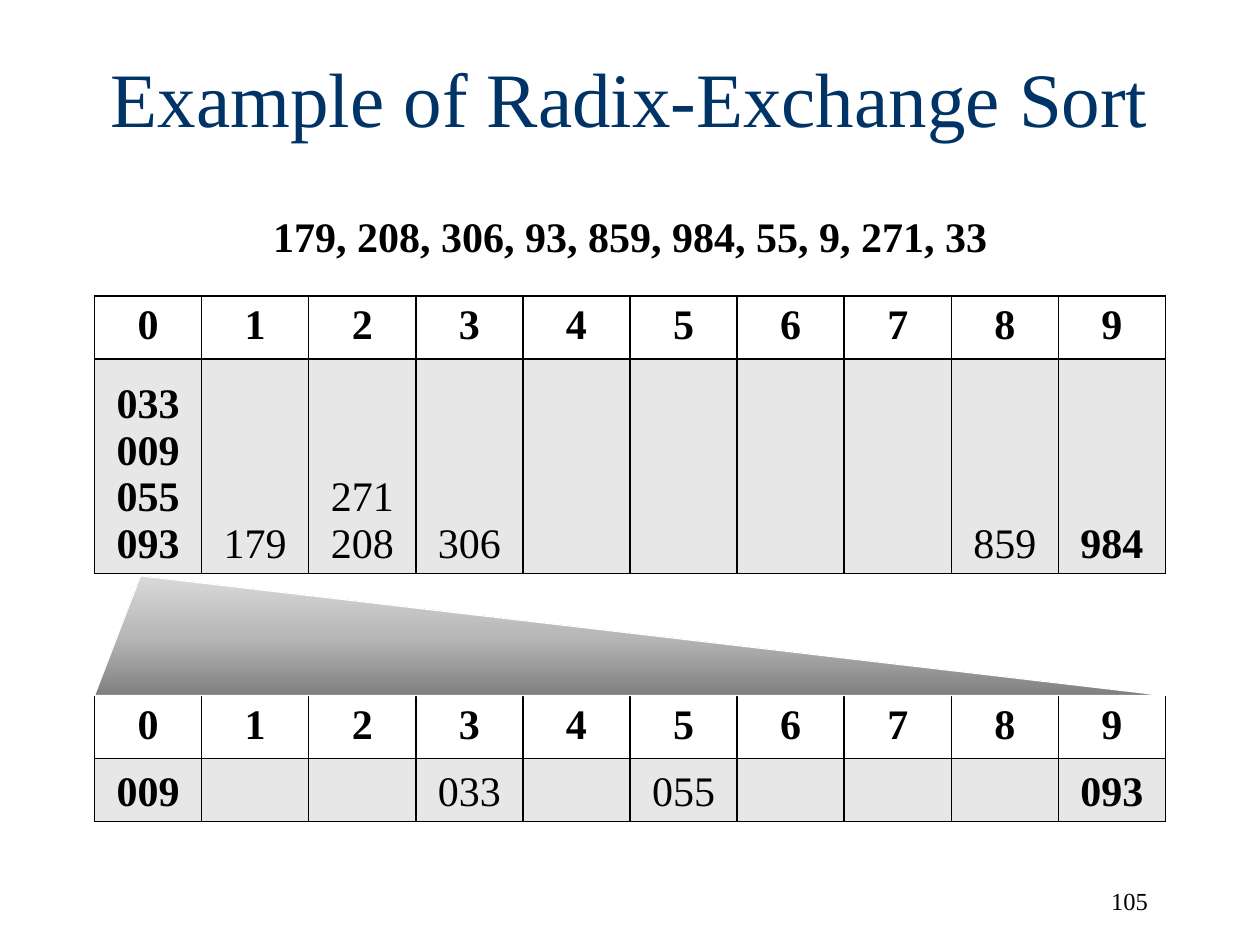
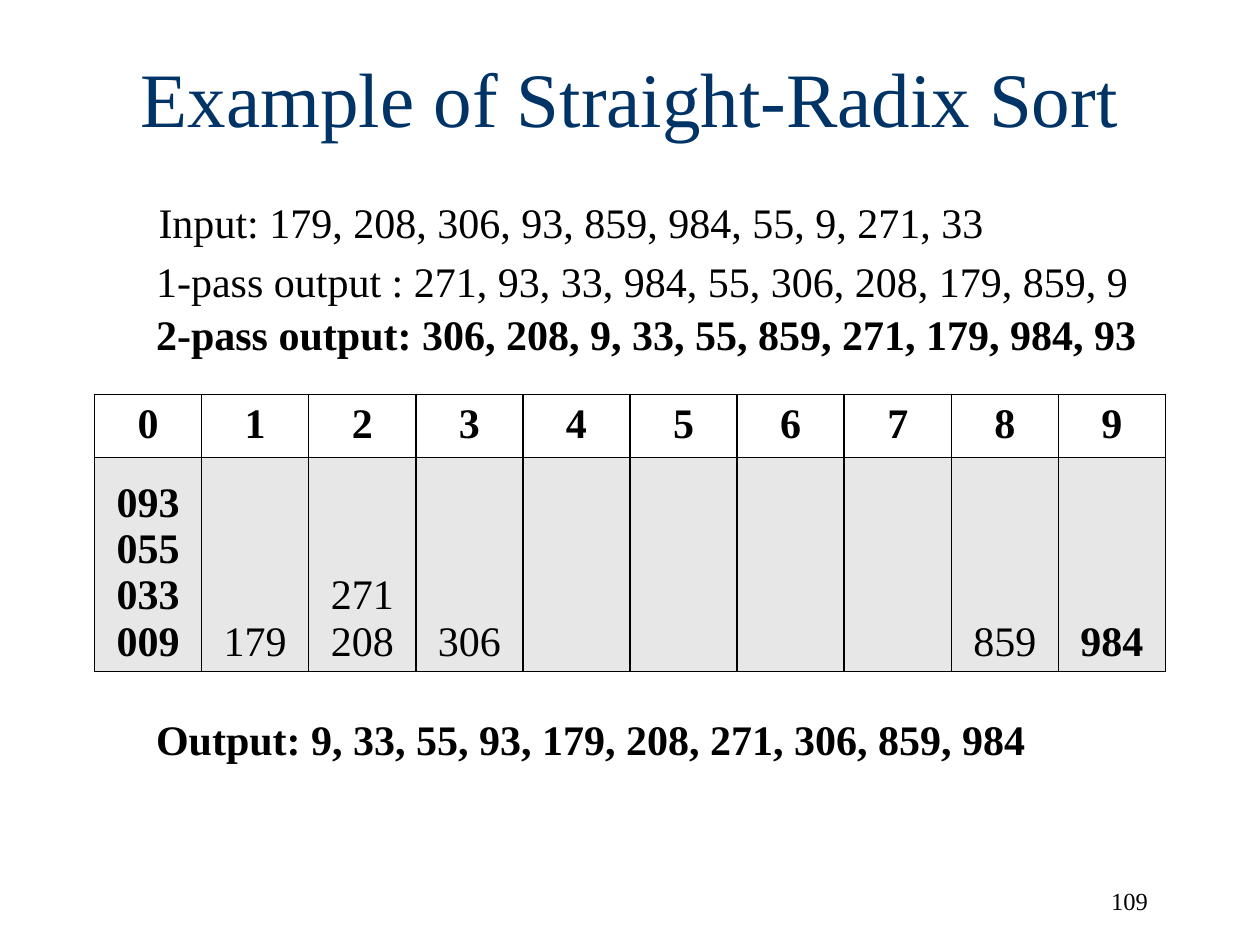
from copy import deepcopy

from lxml.etree import SubElement
from pptx import Presentation
from pptx.dml.color import RGBColor
from pptx.enum.shapes import MSO_SHAPE as Preset
from pptx.enum.text import MSO_ANCHOR as Anchor, MSO_AUTO_SIZE as AutoSize, PP_ALIGN as Align
from pptx.oxml.ns import qn
from pptx.util import Inches, Pt

FONT = "Times New Roman"
NAVY = RGBColor(0x00, 0x33, 0x66)
BLACK = RGBColor(0x00, 0x00, 0x00)
WHITE = RGBColor(0xFF, 0xFF, 0xFF)
BUCKET_GRAY = RGBColor(0xE7, 0xE7, 0xE7)
FUNNEL_GRADIENT = [
    (0, RGBColor(0x80, 0x80, 0x80)),
    (0.5, RGBColor(0xB7, 0xB7, 0xB7)),
    (1, RGBColor(0xD9, 0xD9, 0xD9)),
]

DIGITS = range(10)
LEFT, WIDTH = 0.75, 8.5
HEADER_HEIGHT = 0.5
FUNNEL_TOP, FUNNEL_HEIGHT, FUNNEL_APEX = 4.57, 0.95, 0.043

SHARED_BUCKETS = {1: ["179"], 2: ["271", "208"], 3: ["306"], 8: ["859"], 9: ["984"]}

SLIDES = [
    {
        "title": "Example of Radix-Exchange Sort",
        "number": "105",
        "lines": [
            ("179, 208, 306, 93, 859, 984, 55, 9, 271, 33", 2.07, 1.62, 5.87, True),
        ],
        "tables": [
            (2.35, 1.7, {0: ["033", "009", "055", "093"], **SHARED_BUCKETS}),
            (5.52, 0.5, {0: ["009"], 3: ["033"], 5: ["055"], 9: ["093"]}),
        ],
        "funnel": True,
    },
    {
        "title": "Example of Straight-Radix Sort",
        "number": "109",
        "lines": [
            ("Input: 179, 208, 306, 93, 859, 984, 55, 9, 271, 33", 1.16, 1.51, 6.81, False),
            ("1-pass output : 271, 93, 33, 984, 55, 306, 208, 179, 859, 9", 1.14, 1.98, 7.99, False),
            ("2-pass output: 306, 208, 9, 33, 55, 859, 271, 179, 984, 93", 1.14, 2.4, 8.06, True),
            ("Output: 9, 33, 55, 93, 179, 208, 271, 306, 859, 984", 1.14, 5.61, 7.34, True),
        ],
        "tables": [
            (3.13, 1.7, {0: ["093", "055", "033", "009"], **SHARED_BUCKETS}),
        ],
        "funnel": False,
    },
]


def write(frame, lines, size=24, color=BLACK, bold=False, align=Align.LEFT):
    for index, line in enumerate(lines):
        paragraph = frame.paragraphs[0] if index == 0 else frame.add_paragraph()
        paragraph.alignment = align
        run = paragraph.add_run()
        run.text = line
        run.font.name = FONT
        run.font.size = Pt(size)
        run.font.bold = bold
        run.font.color.rgb = color


def add_title(slide, text):
    title = slide.shapes.title
    title.left, title.top = Inches(LEFT), Inches(0.14)
    title.width, title.height = Inches(WIDTH), Inches(1.25)
    title.text_frame.auto_size = AutoSize.NONE
    title.text_frame.vertical_anchor = Anchor.MIDDLE
    write(title.text_frame, [text], size=44, color=NAVY, align=Align.CENTER)


def add_line(slide, text, left, top, width, height=0.5, **text_format):
    box = slide.shapes.add_textbox(Inches(left), Inches(top), Inches(width), Inches(height))
    write(box.text_frame, [text], **text_format)


def format_cell(cell, fill):
    properties = cell._tc.get_or_add_tcPr()
    for side in ("a:lnL", "a:lnR", "a:lnT", "a:lnB"):
        border = SubElement(properties, qn(side), w=str(Pt(1)))
        solid = SubElement(border, qn("a:solidFill"))
        SubElement(solid, qn("a:srgbClr"), val=str(BLACK))
    cell.fill.solid()
    cell.fill.fore_color.rgb = fill


def add_buckets(slide, top, bucket_height, buckets):
    frame = slide.shapes.add_table(
        2, len(DIGITS), Inches(LEFT), Inches(top),
        Inches(WIDTH), Inches(HEADER_HEIGHT + bucket_height))
    table = frame.table
    table.first_row = table.horz_banding = False
    table.rows[0].height = Inches(HEADER_HEIGHT)
    table.rows[1].height = Inches(bucket_height)
    for digit in DIGITS:
        table.columns[digit].width = Inches(WIDTH / len(DIGITS))
        header, bucket = table.cell(0, digit), table.cell(1, digit)
        format_cell(header, WHITE)
        format_cell(bucket, BUCKET_GRAY)
        bucket.vertical_anchor = Anchor.BOTTOM
        write(header.text_frame, [str(digit)], bold=True, align=Align.CENTER)
        write(bucket.text_frame, buckets.get(digit, []),
              bold=digit in (DIGITS[0], DIGITS[-1]), align=Align.CENTER)


def add_funnel(slide):
    funnel = slide.shapes.add_shape(
        Preset.ISOSCELES_TRIANGLE, Inches(LEFT), Inches(FUNNEL_TOP),
        Inches(WIDTH), Inches(FUNNEL_HEIGHT))
    funnel.adjustments[0] = FUNNEL_APEX
    funnel.shadow.inherit = False
    funnel.line.color.rgb = WHITE
    funnel.line.width = Pt(0.75)
    funnel.fill.gradient()
    funnel.fill.gradient_angle = 90
    stop_list = funnel._element.spPr.find(".//" + qn("a:gsLst"))
    stop_list.append(deepcopy(stop_list[0]))
    for stop, (position, color) in zip(funnel.fill.gradient_stops, FUNNEL_GRADIENT):
        stop.position = position
        stop.color.rgb = color


def main():
    presentation = Presentation()
    presentation.slide_width, presentation.slide_height = Inches(10), Inches(7.5)
    for content in SLIDES:
        slide = presentation.slides.add_slide(presentation.slide_layouts[5])
        add_title(slide, content["title"])
        add_line(slide, content["number"], 7.13, 6.98, 2.08, size=14, align=Align.RIGHT)
        for text, left, top, width, bold in content["lines"]:
            add_line(slide, text, left, top, width, bold=bold)
        for top, bucket_height, buckets in content["tables"]:
            add_buckets(slide, top, bucket_height, buckets)
        if content["funnel"]:
            add_funnel(slide)
    presentation.save("out.pptx")


if __name__ == "__main__":
    main()
